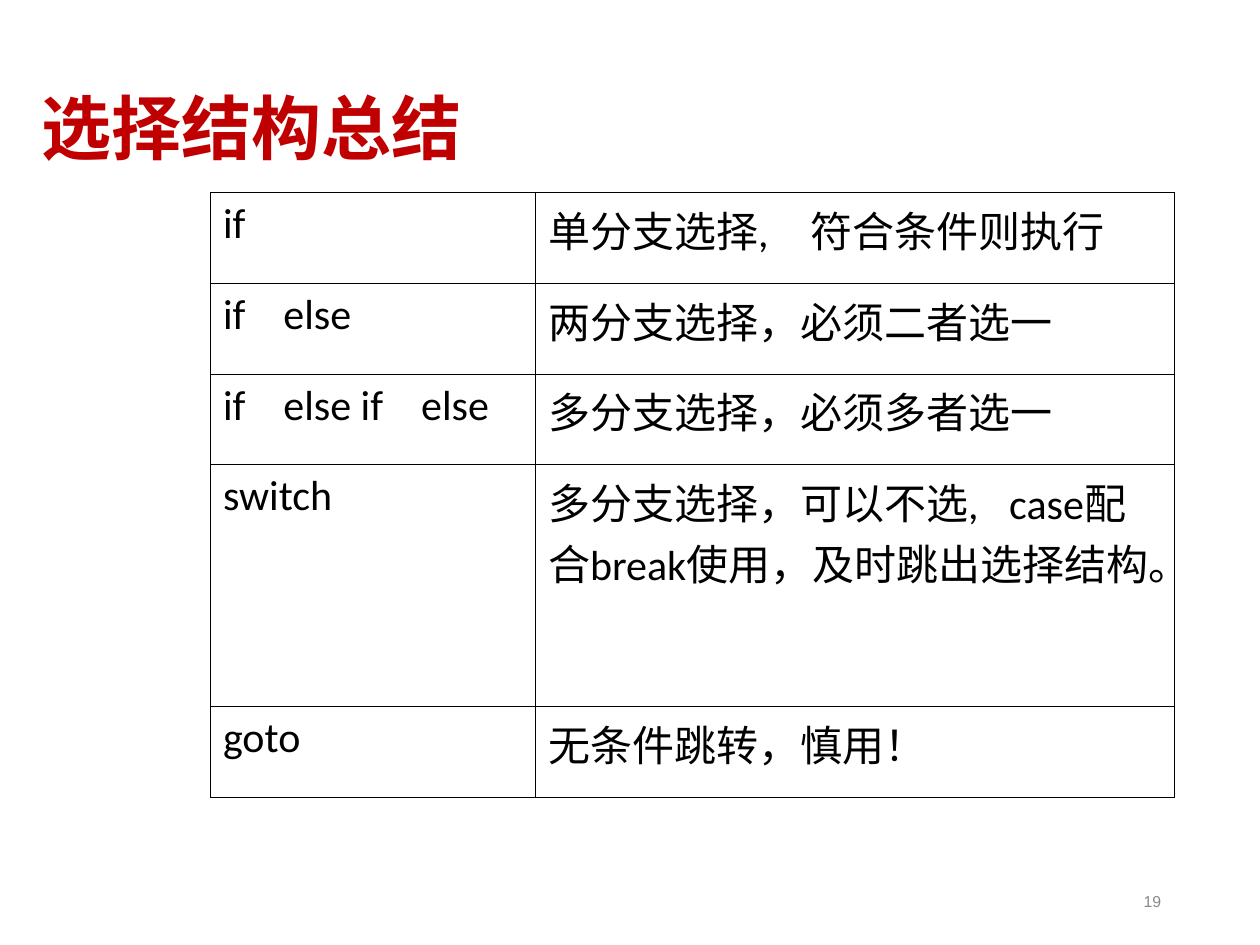
from dataclasses import dataclass

from lxml.etree import SubElement
from pptx import Presentation
from pptx.dml.color import RGBColor
from pptx.enum.text import MSO_ANCHOR, MSO_AUTO_SIZE, PP_ALIGN
from pptx.oxml.ns import qn
from pptx.util import Pt


@dataclass(frozen=True)
class Theme:
    title_color: RGBColor = RGBColor(0xC0, 0x00, 0x00)
    text_color: RGBColor = RGBColor(0x00, 0x00, 0x00)
    number_color: RGBColor = RGBColor(0x89, 0x89, 0x89)
    border_hex: str = "000000"
    border_width: float = 0.45
    text_font: str = "Calibri"
    number_font: str = "Arial"
    title_size: int = 40
    text_size: int = 24
    number_size: int = 9


THEME = Theme()

COLUMN_WIDTHS = (185.76, 365.04)
ROW_HEIGHT = 51.84
SWITCH_ROW_HEIGHT = 138.24

# Each cell: its text and the tab stops that set the gaps inside it.
SUMMARY = [
    (("if", ()), ("单分支选择,\t符合条件则执行", (150,))),
    (("if\telse", (34.5,)), ("两分支选择，必须二者选一", ())),
    (("if\telse if\telse", (34.5, 113.25)), ("多分支选择，必须多者选一", ())),
    (("switch", ()),
     ("多分支选择，可以不选,\tcase配合break使用，及时跳出选择结构。", (263.5,))),
    (("goto", ()), ("无条件跳转，慎用！", ())),
]


def add_run(paragraph, text, size, color, font=THEME.text_font, bold=False):
    run = paragraph.add_run()
    run.text = text
    run.font.name = font
    run.font.size = Pt(size)
    run.font.bold = bold
    run.font.color.rgb = color


def set_tab_stops(paragraph, positions):
    if not positions:
        return
    tab_list = SubElement(paragraph._p.get_or_add_pPr(), qn("a:tabLst"))
    for position in positions:
        SubElement(tab_list, qn("a:tab"), pos=str(Pt(position)), algn="l")


def set_borders(cell):
    properties = cell._tc.get_or_add_tcPr()
    for side in ("a:lnL", "a:lnR", "a:lnT", "a:lnB"):
        border = SubElement(properties, qn(side), w=str(Pt(THEME.border_width)))
        fill = SubElement(border, qn("a:solidFill"))
        SubElement(fill, qn("a:srgbClr"), val=THEME.border_hex)


def fill_title(slide, text):
    title = slide.shapes.title
    title.left, title.top = Pt(16.5), Pt(34)
    title.width, title.height = Pt(692), Pt(83)
    frame = title.text_frame
    frame.auto_size = MSO_AUTO_SIZE.NONE
    frame.vertical_anchor = MSO_ANCHOR.MIDDLE
    paragraph = frame.paragraphs[0]
    paragraph.alignment = PP_ALIGN.LEFT
    paragraph.line_spacing = 0.9
    add_run(paragraph, text, THEME.title_size, THEME.title_color, bold=True)


def fill_cell(cell, text, tab_stops):
    set_borders(cell)
    cell.fill.background()
    paragraph = cell.text_frame.paragraphs[0]
    set_tab_stops(paragraph, tab_stops)
    add_run(paragraph, text, THEME.text_size, THEME.text_color)


def add_summary_table(slide):
    heights = [SWITCH_ROW_HEIGHT if keyword == "switch" else ROW_HEIGHT
               for (keyword, _), _ in SUMMARY]
    table = slide.shapes.add_table(
        len(SUMMARY), len(COLUMN_WIDTHS), Pt(120.25), Pt(110),
        Pt(sum(COLUMN_WIDTHS)), Pt(sum(heights))).table
    table.first_row = False
    table.horz_banding = False
    for column, width in zip(table.columns, COLUMN_WIDTHS):
        column.width = Pt(width)
    for row, height, entries in zip(table.rows, heights, SUMMARY):
        row.height = Pt(height)
        for cell, (text, tab_stops) in zip(row.cells, entries):
            fill_cell(cell, text, tab_stops)


def add_page_number(slide, number):
    frame = slide.shapes.add_textbox(
        Pt(508.5), Pt(500.5), Pt(162), Pt(28.75)).text_frame
    frame.word_wrap = True
    frame.vertical_anchor = MSO_ANCHOR.MIDDLE
    paragraph = frame.paragraphs[0]
    paragraph.alignment = PP_ALIGN.RIGHT
    add_run(paragraph, number, THEME.number_size, THEME.number_color,
            THEME.number_font)


def main():
    presentation = Presentation()
    presentation.slide_width, presentation.slide_height = Pt(720), Pt(540)
    title_only = presentation.slide_layouts.get_by_name("Title Only")
    slide = presentation.slides.add_slide(title_only)
    fill_title(slide, "选择结构总结")
    add_page_number(slide, "19")
    add_summary_table(slide)
    presentation.save("out.pptx")


if __name__ == "__main__":
    main()
